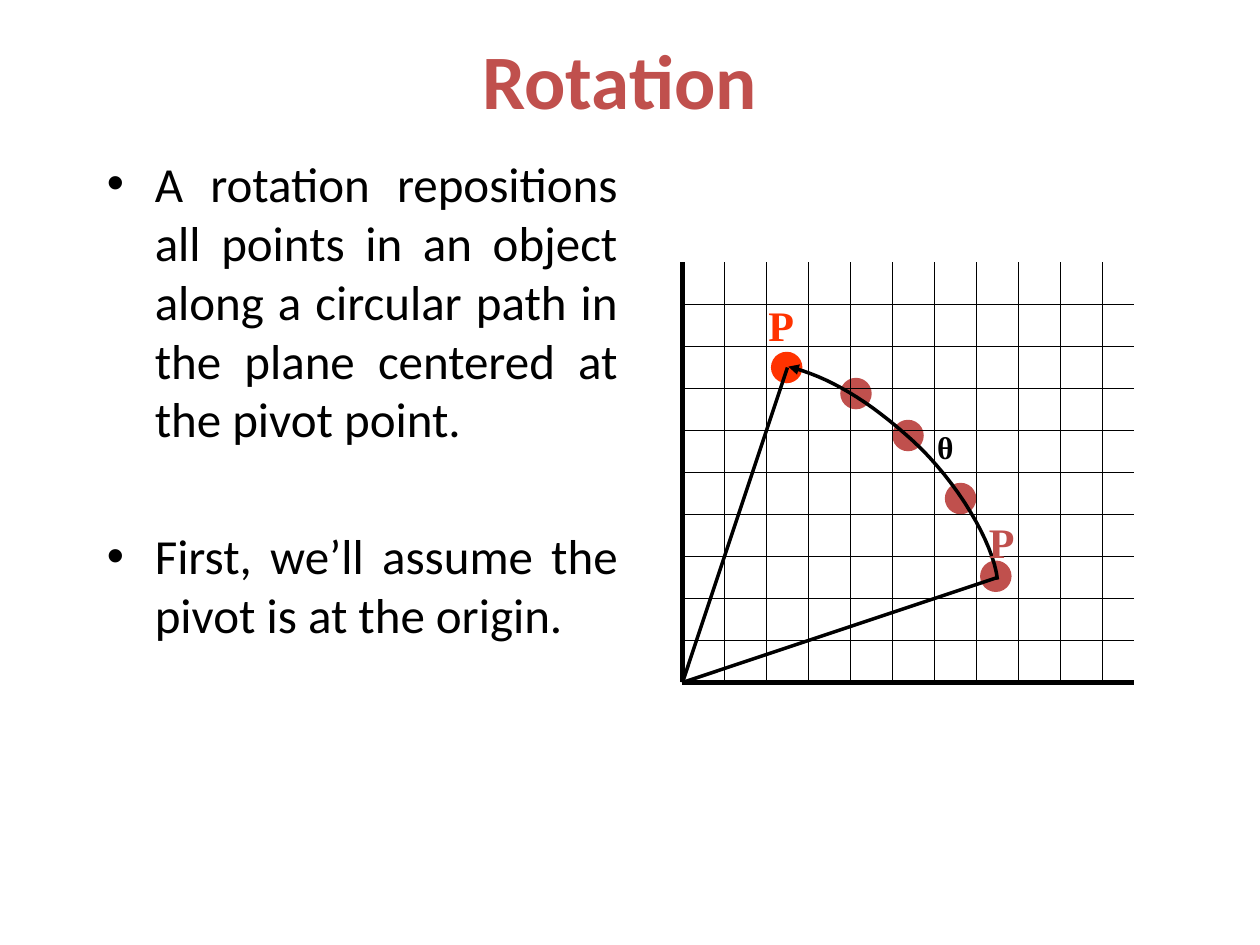
from math import comb

from lxml.etree import SubElement
from pptx import Presentation
from pptx.dml.color import RGBColor
from pptx.enum.shapes import MSO_CONNECTOR, MSO_SHAPE
from pptx.enum.text import MSO_ANCHOR, MSO_AUTO_SIZE, PP_ALIGN
from pptx.oxml.ns import qn
from pptx.util import Inches, Pt

COLORS = {"brick": "C0504D", "red": "FF3300", "black": "000000"}
CELL = 1 / 3
ORIGIN = 16.25 * CELL
COLUMNS, ROWS = 10.75, 10
DOT_SIZE = 0.75
CURVE_STEPS = 16
HANGING_INDENT = Inches(0.38)

TITLE_FONT = {"name": "Calibri", "size": Pt(44), "bold": True}
BODY_FONT = {"name": "Calibri", "size": Pt(28), "bold": False}
ANGLE_FONT = {"name": "Times New Roman", "size": Pt(18), "bold": True}
POINT_FONT = {"name": "Times New Roman", "size": Pt(24), "bold": True}

deck = Presentation()
deck.slide_width, deck.slide_height = Inches(10), Inches(7.5)
page = deck.slides.add_slide(deck.slide_layouts[6])


def at(column, row):
    return Inches(ORIGIN + column * CELL), Inches(ORIGIN - row * CELL)


def add_text(place, lines, font, color, frame_format, align):
    frame = page.shapes.add_textbox(*map(Inches, place)).text_frame
    for key, value in frame_format.items():
        setattr(frame, key, value)
    for index, line in enumerate(lines):
        para = frame.add_paragraph() if index else frame.paragraphs[0]
        para.alignment = align
        span = para.add_run()
        span.text = line
        span.font.color.rgb = RGBColor.from_string(COLORS[color])
        for key, value in font.items():
            setattr(span.font, key, value)
    return frame


dots = [
    (5.37, 5.88, "brick"),
    (4.13, 6.88, "brick"),
    (6.62, 4.38, "brick"),
    (7.46, 2.53, "brick"),
    (2.48, 7.5, "red"),
]
for column, row, color in dots:
    corner = at(column - DOT_SIZE / 2, row + DOT_SIZE / 2)
    diameter = Inches(DOT_SIZE * CELL)
    dot = page.shapes.add_shape(MSO_SHAPE.OVAL, *corner, diameter, diameter)
    dot.shadow.inherit = False
    dot.fill.solid()
    dot.fill.fore_color.rgb = RGBColor.from_string(COLORS[color])
    dot.line.fill.background()

axes = [((0, 0), (0, ROWS), 3), ((0, 0), (COLUMNS, 0), 3)]
verticals = [((column, 0), (column, ROWS), 0.75) for column in range(1, 11)]
horizontals = [((0, row), (COLUMNS, row), 0.75) for row in range(1, ROWS)]
radii = [((0, 0), (7.5, 2.5), 2), ((0, 0), (2.5, 7.5), 2)]
for start, end, width in axes + verticals + horizontals + radii:
    line = page.shapes.add_connector(MSO_CONNECTOR.STRAIGHT, *at(*start), *at(*end))
    line.line.color.rgb = RGBColor.from_string(COLORS["black"])
    line.line.width = Pt(width)
    SubElement(line._element.spPr, qn("a:effectLst"))

arc_curves = [
    [(7.5, 2.45), (7.41, 3.32), (6.54, 4.79), (5.49, 5.75)],
    [(5.49, 5.75), (4.44, 6.71), (3.48, 7.28), (2.52, 7.52)],
]
arc_points = []
for controls in arc_curves:
    for step in range(1, CURVE_STEPS + 1):
        share = step / CURVE_STEPS
        weights = [comb(3, power) * share ** power * (1 - share) ** (3 - power)
                   for power in range(4)]
        column = sum(weight * control[0] for weight, control in zip(weights, controls))
        row = sum(weight * control[1] for weight, control in zip(weights, controls))
        arc_points.append(at(column, row))

arc_builder = page.shapes.build_freeform(*at(*arc_curves[0][0]))
arc_builder.add_line_segments(arc_points, close=False)
arc = arc_builder.convert_to_shape()
arc.shadow.inherit = False
arc.fill.background()
arc.line.color.rgb = RGBColor.from_string(COLORS["black"])
arc.line.width = Pt(2)
arc_outline = arc._element.spPr.find(qn("a:ln"))
SubElement(arc_outline, qn("a:tailEnd"), type="triangle")

title_frame = {"word_wrap": True, "vertical_anchor": MSO_ANCHOR.MIDDLE}
body_frame = {"word_wrap": True, "vertical_anchor": MSO_ANCHOR.TOP}
label_frame = {"word_wrap": False, "auto_size": MSO_AUTO_SIZE.SHAPE_TO_FIT_TEXT}

add_text((0.67, 0, 8.5, 1.25), ["Rotation"], TITLE_FONT, "brick",
         title_frame, PP_ALIGN.CENTER)

bullets = [
    "A rotation repositions all points in an object along a circular path "
    "in the plane centered at the pivot point.",
    "First, we\u2019ll assume the pivot is at the origin.",
]
body = add_text((0.75, 1.17, 4.25, 5.42), bullets, BODY_FONT, "black",
                body_frame, PP_ALIGN.JUSTIFY)
for para, gap in zip(body.paragraphs, (5.6, 44.5)):
    para.space_before = Pt(gap)
    properties = para._p.get_or_add_pPr()
    properties.set("marL", str(HANGING_INDENT))
    properties.set("indent", str(-HANGING_INDENT))
    SubElement(properties, qn("a:buFont"), typeface="Arial")
    SubElement(properties, qn("a:buChar"), char="\u2022")

labels = [
    ((7.34, 3.35, 0.33, 0.4), "\u03b8", ANGLE_FONT, "black"),
    ((7.75, 4.05, 0.4, 0.5), "P", POINT_FONT, "brick"),
    ((6, 2.33, 0.4, 0.5), "P", POINT_FONT, "red"),
]
for place, label, font, color in labels:
    add_text(place, [label], font, color, label_frame, PP_ALIGN.LEFT)

deck.save("out.pptx")
